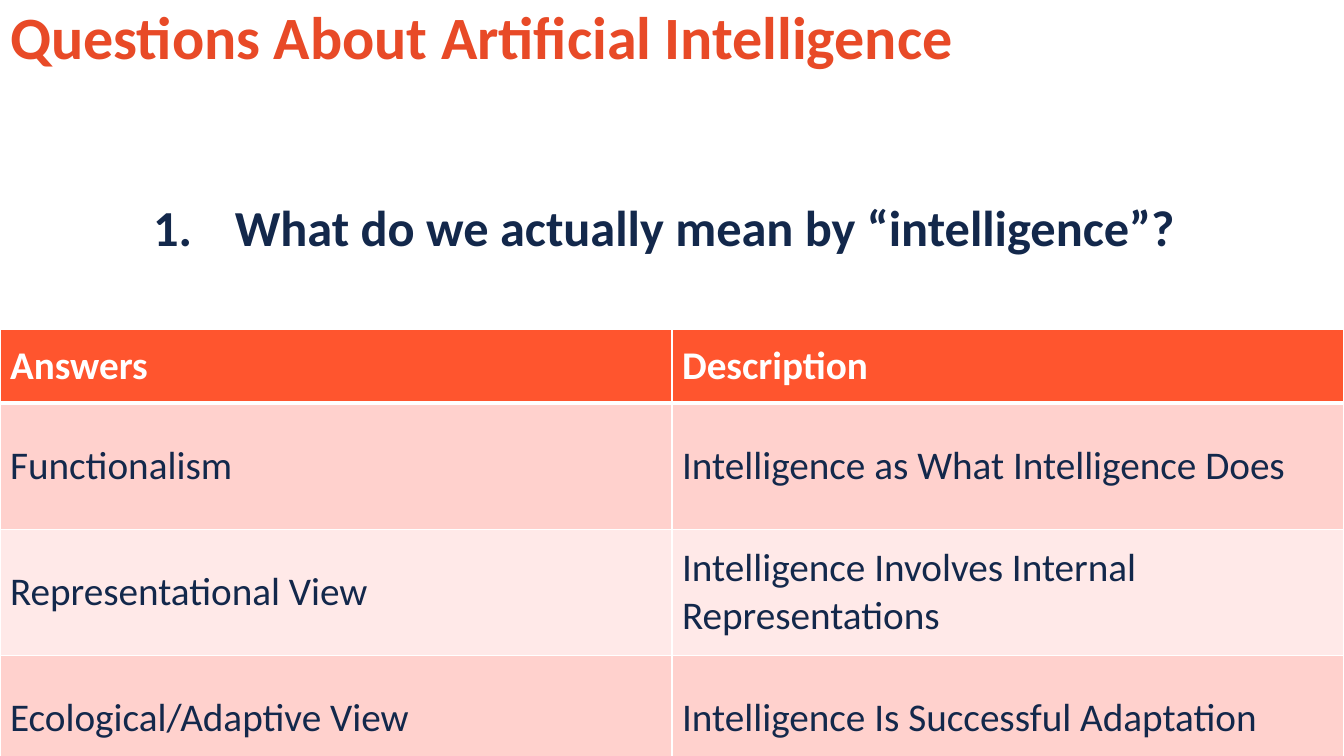
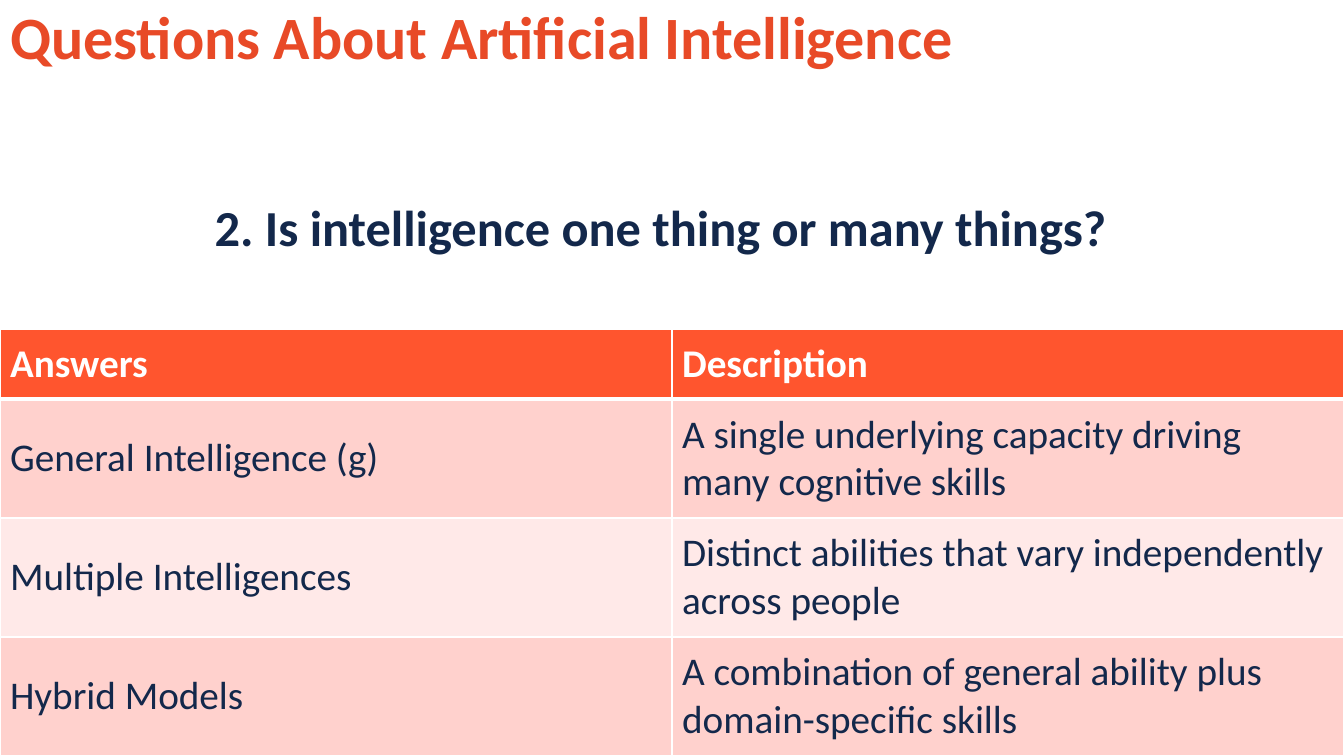
"""Build two question slides, each with a table of answers."""
from lxml import etree
from pptx import Presentation
from pptx.dml.color import RGBColor
from pptx.enum import text as t
from pptx.oxml import ns
from pptx.util import Inches, Pt

TITLE = "Questions About Artificial Intelligence"
HEAD = ("Answers", "Description")
SLIDES = [
    dict(ask="What do we actually mean by “intelligence”?", num=True,
         left=1.42, wide=10.49, rows=(0.73, 1.25), answers=[
             ("Functionalism", "Intelligence as What Intelligence Does"),
             ("Representational View",
              "Intelligence Involves Internal Representations"),
             ("Ecological/Adaptive View",
              "Intelligence Is Successful Adaptation")]),
    dict(ask="2. Is intelligence one thing or many things?", num=False,
         left=2.03, wide=9.27, rows=(0.69, 1.18), answers=[
             ("General Intelligence (g)",
              "A single underlying capacity driving many cognitive skills"),
             ("Multiple Intelligences",
              "Distinct abilities that vary independently across people"),
             ("Hybrid Models",
              "A combination of general ability plus domain-specific skills")]),
]
FONT = "Calibri"
RUST, NAVY, WHITE = "E84A27", "13284B", "FFFFFF"
BAND, BANDS = "FF552E", ("FFD1CD", "FFE9E8")
WIDE, HIGH = 13.33, 7.5


def color(code):
    return RGBColor.from_string(code)


def write(frame, words, size=28, ink=NAVY, bold=False, space=None, num=False):
    frame.word_wrap = True
    para = frame.paragraphs[0]
    para.alignment = t.PP_ALIGN.LEFT
    para.line_spacing = space
    if num:
        props = para._p.get_or_add_pPr()
        props.set("marL", str(Inches(0.81)))
        props.set("indent", str(-Inches(0.81)))
        etree.SubElement(props, ns.qn("a:buAutoNum"), type="arabicPeriod")
    run = para.add_run()
    run.text = words
    font = run.font
    font.name, font.size, font.bold = FONT, Pt(size), bold
    font.color.rgb = color(ink)


def edge(cell, base):
    props = cell._tc.get_or_add_tcPr()
    for side, width in zip("LRTB", (1, 1, 1, base)):
        line = etree.SubElement(props, ns.qn("a:ln" + side), w=str(Pt(width)))
        fill = etree.SubElement(line, ns.qn("a:solidFill"))
        etree.SubElement(fill, ns.qn("a:srgbClr"), val=WHITE)


def add_grid(slide, answers, rows):
    lines = [HEAD] + answers
    highs = [rows[0]] + [rows[1]] * len(answers)
    grid = slide.shapes.add_table(
        len(lines), len(HEAD), Inches(0), Inches(3.27),
        Inches(WIDE), Inches(sum(highs))).table
    for col in grid.columns:
        col.width = Inches(WIDE / len(HEAD))
    for r, (line, high) in enumerate(zip(lines, highs)):
        grid.rows[r].height = Inches(high)
        top = r == 0
        for c, words in enumerate(line):
            cell = grid.cell(r, c)
            edge(cell, 3 if top else 1)
            cell.fill.solid()
            cell.fill.fore_color.rgb = color(BAND if top else BANDS[(r - 1) % 2])
            cell.vertical_anchor = t.MSO_ANCHOR.MIDDLE
            write(cell.text_frame, words, ink=WHITE if top else NAVY, bold=top)


def add_slide(deck, ask, num, left, wide, rows, answers):
    slide = deck.slides.add_slide(deck.slide_layouts.get_by_name("Title Only"))
    title = slide.shapes.title
    title.left, title.top = Inches(0), Inches(0)
    title.width, title.height = Inches(12.56), Inches(0.8)
    title.text_frame.auto_size = t.MSO_AUTO_SIZE.NONE
    title.text_frame.vertical_anchor = t.MSO_ANCHOR.MIDDLE
    write(title.text_frame, TITLE, size=42.9, ink=RUST, bold=True, space=0.9)
    box = slide.shapes.add_textbox(
        Inches(left), Inches(1.9), Inches(wide), Inches(0.71))
    box.text_frame.auto_size = t.MSO_AUTO_SIZE.SHAPE_TO_FIT_TEXT
    write(box.text_frame, ask, size=36, bold=True, num=num)
    add_grid(slide, answers, rows)


def main():
    deck = Presentation()
    deck.slide_width, deck.slide_height = Inches(WIDE), Inches(HIGH)
    for page in SLIDES:
        add_slide(deck, **page)
    deck.save("out.pptx")


if __name__ == "__main__":
    main()
